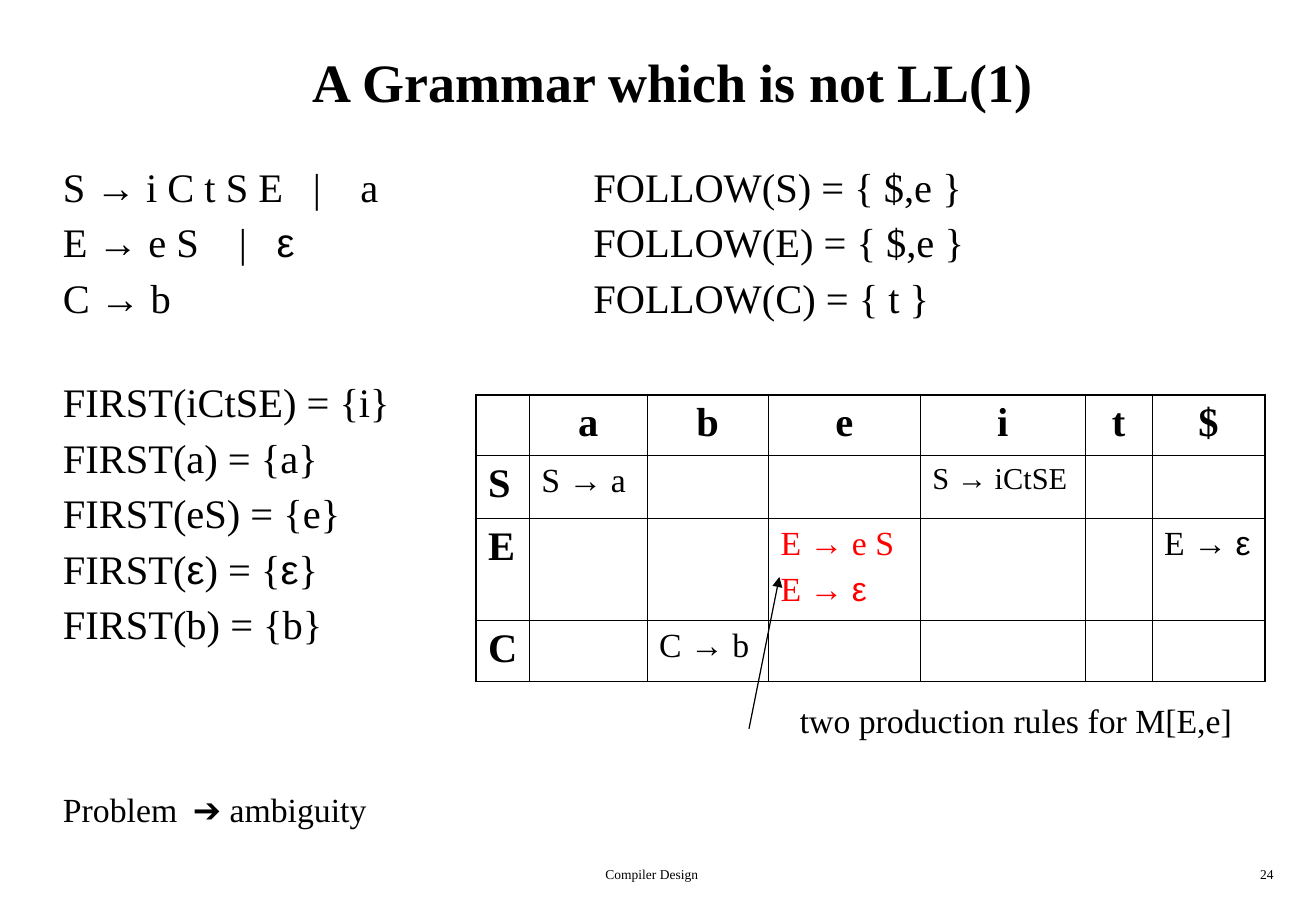
"""Builds the slide on a grammar that is not LL(1)."""
from itertools import groupby

from lxml.etree import SubElement
from pptx import Presentation
from pptx.dml.color import RGBColor as RGB
from pptx.enum.shapes import MSO_CONNECTOR as CONN
from pptx.enum.text import MSO_ANCHOR as ANCHOR, PP_ALIGN as ALIGN
from pptx.oxml import parse_xml
from pptx.oxml.ns import nsdecls, qn
from pptx.util import Inches, Pt

THEME = {
    "serif": "Times New Roman", "sans": "Arial", "symbols": "→ε➔",
    "black": "000000", "red": "FF0000",
    "title": 32, "body": 24, "note": 20, "small": 18, "footer": 8,
    "thin": 0.45, "thick": 1.08, "arrow": 0.75,
}

LEFT = 0.42
BODY = {"size": "body", "spacing": 0.9, "before": 7}
NOTE = {"size": "note", "spacing": 0.9}
FOOTER = {"size": "footer"}

TEXTS = [
    ((LEFT, 0.17, 10.25, 1), ["A Grammar which is not LL(1)"],
     {"size": "title", "bold": True, "align": ALIGN.CENTER, "anchor": ANCHOR.MIDDLE}),
    ((LEFT, 1.33, 4.2, 1.5), ["S → i C t S E\t|\ta", "E → e S\t|\tε", "C → b"],
     {**BODY, "tabs": [(2.06, 2.45), (1.45, 1.76), ()]}),
    ((4.79, 1.33, 4.2, 1.5),
     ["FOLLOW(S) = { $,e }", "FOLLOW(E) = { $,e }", "FOLLOW(C) = { t }"], BODY),
    ((LEFT, 3.1, 3.4, 2.4),
     ["FIRST(iCtSE) = {i}", "FIRST(a) = {a}", "FIRST(eS) = {e}",
      "FIRST(ε) = {ε}", "FIRST(b) = {b}"], BODY),
    ((6.49, 5.75, 4, 0.45), ["two production rules for M[E,e]"], NOTE),
    ((LEFT, 6.48, 4, 0.45), ["Problem\t➔ ambiguity"], {**NOTE, "tabs": [(1.07,)]}),
    ((3.34, 7.08, 4.06, 0.25), ["Compiler Design"], {**FOOTER, "align": ALIGN.CENTER}),
    ((8.33, 7.08, 2.26, 0.25), ["24"], {**FOOTER, "align": ALIGN.RIGHT}),
]

TERMINALS = ["a", "b", "e", "i", "t", "$"]
NONTERMINALS = ["S", "E", "C"]
RULES = {
    ("S", "a"): ["S → a"],
    ("S", "i"): ["S → iCtSE"],
    ("E", "e"): ["E → e S", "E → ε"],
    ("E", "$"): ["E → ε"],
    ("C", "b"): ["C → b"],
}
RULE = {"size": "note", "before": 5}
SPECIAL = {("S", "i"): {"size": "small"}, ("E", "e"): {"color": "red"}}
HEAD = {"size": "body", "bold": True}
TABLE_AT = (3.92, 3.25)
COLS = [0.44, 0.97, 1, 1.25, 1.36, 0.55, 0.93]
ROWS = [0.5, 0.52, 0.84, 0.5]
POINTER = (6.17, 6, 6.42, 4.75)


def inches(values):
    return [Inches(v) for v in values]


def write(tf, lines, fmt):
    for i, line in enumerate(lines):
        p = tf.add_paragraph() if i else tf.paragraphs[0]
        stops = fmt["tabs"][i] if "tabs" in fmt else ()
        if stops:
            tabs = SubElement(p._p.get_or_add_pPr(), qn("a:tabLst"))
            for stop in stops:
                SubElement(tabs, qn("a:tab"), pos=str(Inches(stop)), algn="l")
        layout = {"alignment": fmt.get("align", ALIGN.LEFT),
                  "line_spacing": fmt.get("spacing", 1.0),
                  "space_before": Pt(fmt.get("before", 0) if i else 0)}
        for name, value in layout.items():
            setattr(p, name, value)
        for symbol, chars in groupby(line, lambda ch: ch in THEME["symbols"]):
            r = p.add_run()
            r.text = "".join(chars)
            font = {"name": THEME["sans" if symbol else "serif"],
                    "size": Pt(THEME[fmt["size"]]), "bold": fmt.get("bold", False)}
            for name, value in font.items():
                setattr(r.font, name, value)
            r.font.color.rgb = RGB.from_string(THEME[fmt.get("color", "black")])


def add_text(slide, box, lines, fmt):
    tf = slide.shapes.add_textbox(*inches(box)).text_frame
    tf.word_wrap = True
    tf.vertical_anchor = fmt.get("anchor", ANCHOR.TOP)
    write(tf, lines, fmt)


def set_borders(cell, outer):
    tcPr = cell._tc.get_or_add_tcPr()
    for i, side in enumerate("LRTB"):
        width = Pt(THEME["thick" if side in outer else "thin"])
        tcPr.insert(i, parse_xml(
            f'<a:ln{side} {nsdecls("a")} w="{width}"><a:solidFill>'
            f'<a:srgbClr val="{THEME["black"]}"/></a:solidFill></a:ln{side}>'))


def add_parse_table(slide):
    size = (sum(COLS), sum(ROWS))
    frame = slide.shapes.add_table(len(ROWS), len(COLS), *inches(TABLE_AT + size))
    table = frame.table
    table.first_row = table.horz_banding = False
    for col, width in zip(table.columns, COLS):
        col.width = Inches(width)
    for row, height in zip(table.rows, ROWS):
        row.height = Inches(height)
    for y, left in enumerate([""] + NONTERMINALS):
        for x, top in enumerate([""] + TERMINALS):
            cell = table.cell(y, x)
            cell.fill.background()
            edges = {"L": x == 0, "R": x == len(TERMINALS),
                     "T": y == 0, "B": y == len(NONTERMINALS)}
            set_borders(cell, [side for side, on in edges.items() if on])
            if x and y:
                key = (left, top)
                lines, fmt = RULES.get(key, []), {**RULE, **SPECIAL.get(key, {})}
            else:
                lines = [left or top]
                fmt = {**HEAD, "align": ALIGN.LEFT if y else ALIGN.CENTER}
            write(cell.text_frame, lines, fmt)


def add_pointer(slide):
    line = slide.shapes.add_connector(CONN.STRAIGHT, *inches(POINTER))
    line.line.color.rgb = RGB.from_string(THEME["black"])
    line.line.width = Pt(THEME["arrow"])
    SubElement(line.line._get_or_add_ln(), qn("a:tailEnd"), type="triangle")
    SubElement(line._element.spPr, qn("a:effectLst"))


def main():
    prs = Presentation()
    prs.slide_width, prs.slide_height = inches((10.84, 7.5))
    s = prs.slides.add_slide(prs.slide_layouts[6])
    for box, lines, fmt in TEXTS:
        add_text(s, box, lines, fmt)
    add_parse_table(s)
    add_pointer(s)
    prs.save("out.pptx")


if __name__ == "__main__":
    main()
